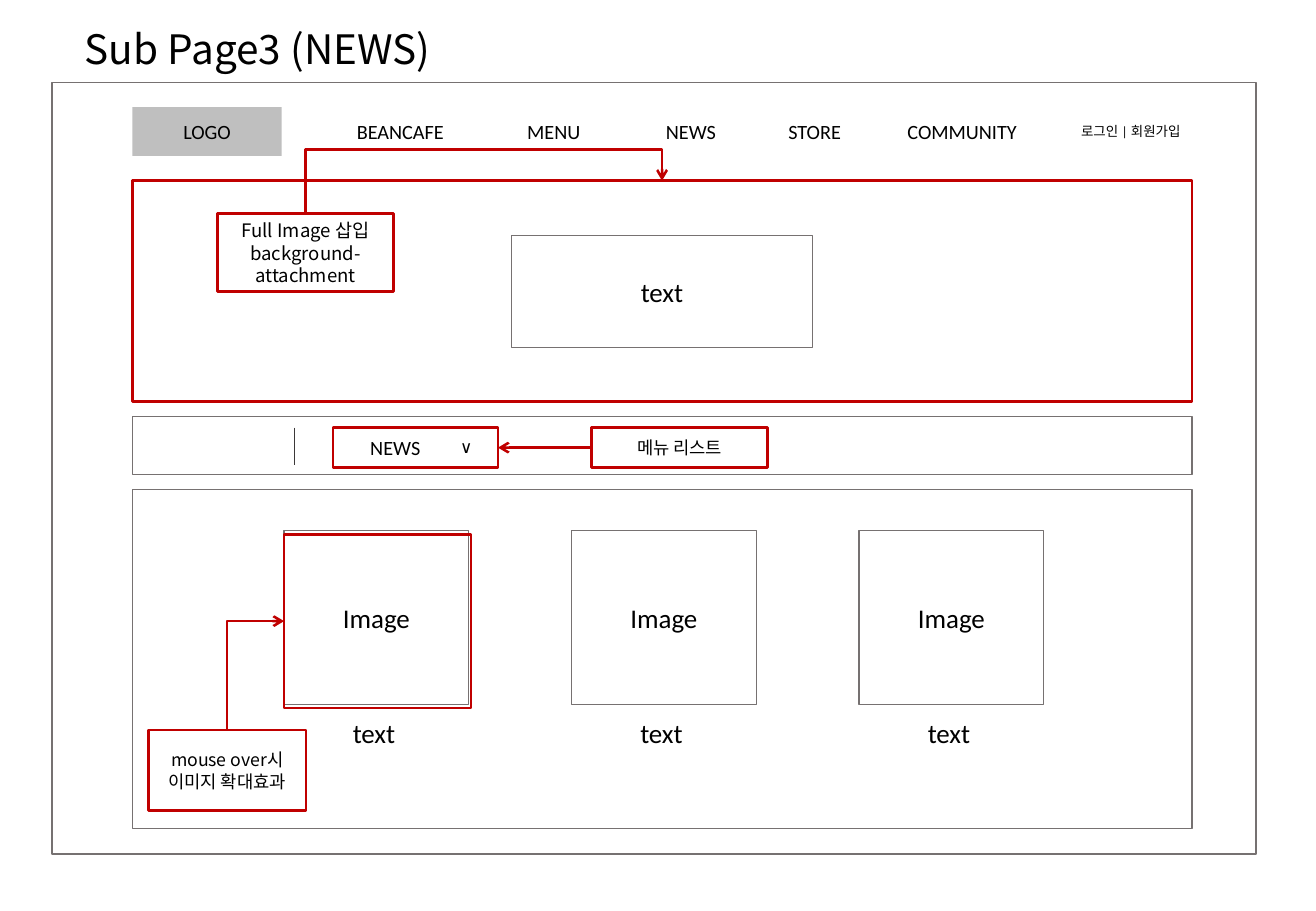
from dataclasses import dataclass
from typing import Optional

from lxml.etree import SubElement
from pptx import Presentation
from pptx.dml.color import RGBColor
from pptx.enum.shapes import MSO_CONNECTOR, MSO_SHAPE
from pptx.enum.text import MSO_ANCHOR, MSO_AUTO_SIZE, PP_ALIGN
from pptx.oxml.ns import qn
from pptx.shapes.autoshape import Shape
from pptx.shapes.connector import Connector
from pptx.text.text import TextFrame
from pptx.util import Cm, Pt

BLACK = RGBColor(0x00, 0x00, 0x00)
GREY = RGBColor(0x76, 0x71, 0x71)
DARK = RGBColor(0x3B, 0x38, 0x38)
SILVER = RGBColor(0xBF, 0xBF, 0xBF)
RED = RGBColor(0xC0, 0x00, 0x00)

LATIN = "Calibri"
HANGUL = "Noto Sans CJK KR"
FRAME = {
    "word_wrap": True,
    "auto_size": MSO_AUTO_SIZE.NONE,
    "vertical_anchor": MSO_ANCHOR.MIDDLE,
}
WIDTHS = {RED: 1.5, GREY: 0.75, DARK: 0.5}  # line width by colour, in points


@dataclass
class Box:
    """A rectangle or a plain label, in centimetres."""
    left: float
    top: float
    width: float
    height: float
    text: str = ""
    size: float = 12
    font: str = LATIN
    line: Optional[RGBColor] = None
    fill: Optional[RGBColor] = None
    align: PP_ALIGN = PP_ALIGN.CENTER


@dataclass
class Elbow:
    """A bent arrow that leaves its start upwards."""
    x1: float
    y1: float
    x2: float
    y2: float
    preset: str
    bend: Optional[int] = None


def place(box: Box) -> list:
    return [Cm(v) for v in (box.left, box.top, box.width, box.height)]


def write(frame: TextFrame, box: Box) -> None:
    for name, value in FRAME.items():
        setattr(frame, name, value)
    frame.text = box.text
    look = {"size": Pt(box.size), "name": box.font, "bold": False}
    for para in frame.paragraphs:
        para.alignment = box.align
        for run in para.runs:
            for name, value in look.items():
                setattr(run.font, name, value)
            run.font.color.rgb = BLACK
            SubElement(run._r.get_or_add_rPr(), qn("a:ea"), typeface=HANGUL)


def draw(box: Box) -> Shape:
    if box.line is None and box.fill is None:
        shape = shapes.add_textbox(*place(box))
    else:
        shape = shapes.add_shape(MSO_SHAPE.RECTANGLE, *place(box))
        shape.shadow.inherit = False
        if box.fill is None:
            shape.fill.background()
        else:
            shape.fill.solid()
            shape.fill.fore_color.rgb = box.fill
        if box.line is None:
            shape.line.fill.background()
        else:
            shape.line.color.rgb = box.line
            shape.line.width = Pt(WIDTHS[box.line])
    if box.text:
        write(shape.text_frame, box)
    return shape


def link(kind: MSO_CONNECTOR, ends: tuple, color: RGBColor, arrow: bool) -> Connector:
    wire = shapes.add_connector(kind, *[Cm(v) for v in ends])
    wire.line.color.rgb = color
    wire.line.width = Pt(WIDTHS[color])
    if arrow:
        SubElement(wire.line._get_or_add_ln(), qn("a:tailEnd"), type="arrow")
    SubElement(wire._element.spPr, qn("a:effectLst"))
    return wire


def bend(elbow: Elbow) -> None:
    # The box is laid on its side, then turned a quarter about its centre
    wide, high = abs(elbow.y2 - elbow.y1), abs(elbow.x2 - elbow.x1)
    left = (elbow.x1 + elbow.x2 - wide) / 2
    top = (elbow.y1 + elbow.y2 - high) / 2
    wire = link(MSO_CONNECTOR.ELBOW, (left, top, left + wide, top + high), RED, True)
    form = wire._element.spPr.find(qn("a:xfrm"))
    for name, value in {"rot": "5400000", "flipH": "1", "flipV": "1"}.items():
        form.set(name, value)
    geom = wire._element.spPr.find(qn("a:prstGeom"))
    geom.set("prst", elbow.preset)
    if elbow.bend is not None:
        guides = geom.find(qn("a:avLst"))
        if guides is None:
            guides = SubElement(geom, qn("a:avLst"))
        SubElement(guides, qn("a:gd"), name="adj1", fmla=f"val {elbow.bend}")


deck = Presentation()
deck.slide_width, deck.slide_height = Cm(27.51), Cm(19.05)
slide = deck.slides.add_slide(deck.slide_layouts[5])
shapes = slide.shapes

# Title
head = Box(1.52, 0.38, 9, 1.27, "Sub Page3 (NEWS)", 24, HANGUL, align=PP_ALIGN.LEFT)
title = shapes.title
title.left, title.top, title.width, title.height = place(head)
write(title.text_frame, head)

# Page frame, logo slot and top menu
draw(Box(1.09, 1.73, 25.17, 16.13, line=GREY))
draw(Box(2.77, 2.24, 3.12, 1.02, "LOGO", fill=SILVER))
MENU = {"BEANCAFE": 7.21, "MENU": 10.77, "NEWS": 13.67, "STORE": 16.23, "COMMUNITY": 18.72}
for name, left in MENU.items():
    draw(Box(left, 2.36, 2.95, 0.76, name, align=PP_ALIGN.LEFT))
draw(Box(22.35, 2.44, 3.2, 0.61, "로그인 | 회원가입", 8, align=PP_ALIGN.LEFT))

# Hero banner
draw(Box(2.77, 3.78, 22.15, 4.62, line=RED))
draw(Box(4.55, 4.47, 3.68, 1.63, "Full Image 삽입\nbackground-attachment", 11, HANGUL, RED))
draw(Box(10.69, 4.93, 6.3, 2.34, "text", 16, line=GREY))
bend(Elbow(6.39, 4.47, 13.84, 3.78, "bentConnector3", 194000))

# Menu bar with its list
draw(Box(2.77, 8.71, 22.15, 1.22, line=GREY))
link(MSO_CONNECTOR.STRAIGHT, (6.15, 8.94, 6.15, 9.73), DARK, False)
news = draw(Box(6.96, 8.94, 3.45, 0.84, line=RED))
draw(Box(7.49, 8.97, 1.8, 0.76, "NEWS", align=PP_ALIGN.LEFT))
draw(Box(9.37, 8.99, 1.3, 0.69, "∨", 10, align=PP_ALIGN.LEFT))
note = draw(Box(12.37, 8.94, 3.68, 0.84, "메뉴 리스트", 10.5, HANGUL, RED))
wire = link(MSO_CONNECTOR.STRAIGHT, (12.37, 9.36, 10.41, 9.36), RED, True)
wire.begin_connect(note, 1)
wire.end_connect(news, 3)

# Image cards
draw(Box(2.77, 10.24, 22.15, 7.09, line=GREY))
for col in range(3):
    left = 5.94 + 6.01 * col
    draw(Box(left, 11.1, 3.86, 3.63, "Image", 16, line=GREY))
    draw(Box(left - 0.05, 14.76, 3.86, 1.12, "text", 16))

# Hover note
draw(Box(5.94, 11.18, 3.91, 3.63, line=RED))
bend(Elbow(4.75, 15.27, 5.94, 12.99, "bentConnector2"))
draw(Box(3.1, 15.27, 3.3, 1.68, "mouse over시\n이미지 확대효과", 10.5, HANGUL, RED))

deck.save("out.pptx")
